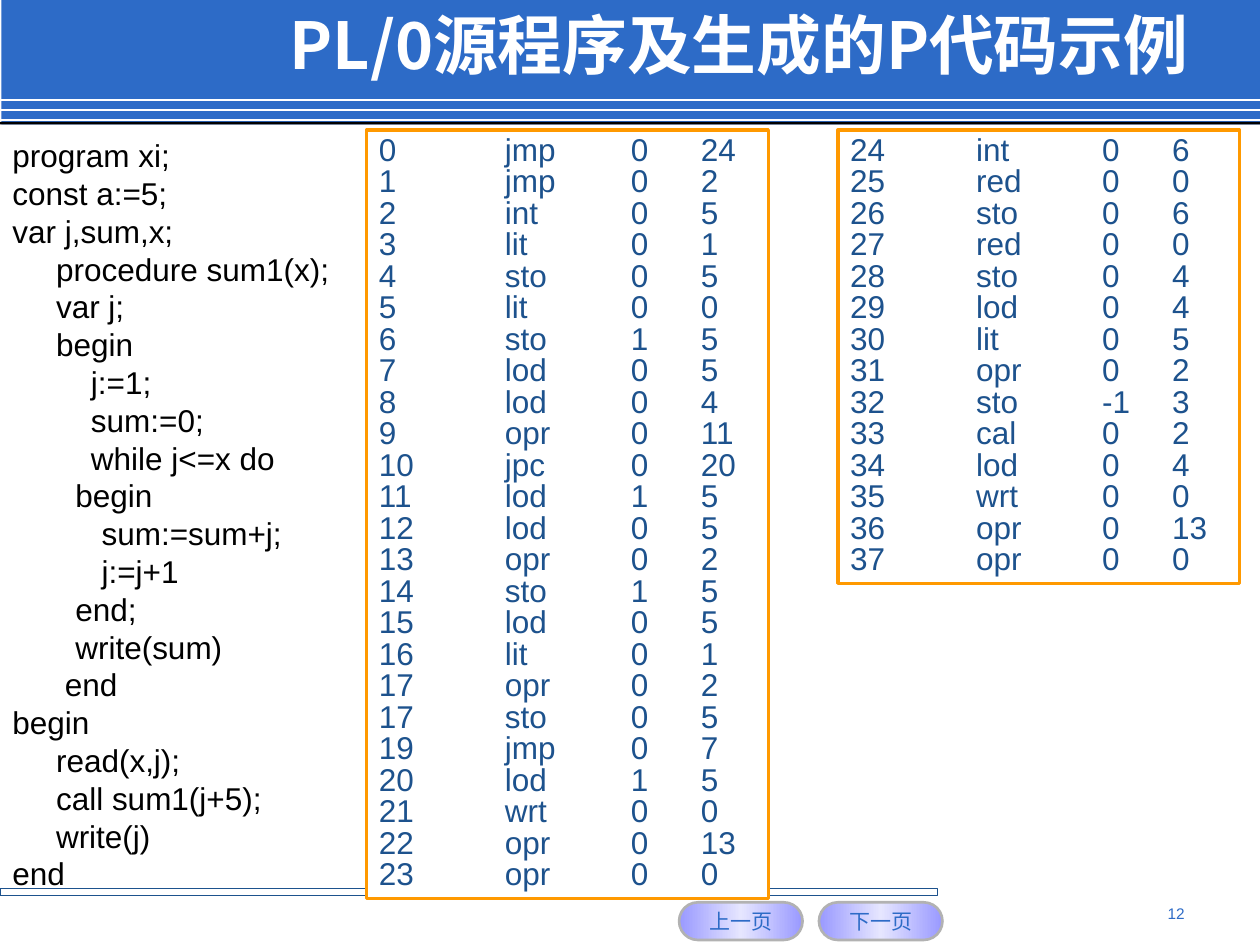
from copy import deepcopy
from dataclasses import dataclass

from lxml.etree import SubElement
from pptx import Presentation
from pptx.dml.color import RGBColor
from pptx.enum.shapes import MSO_CONNECTOR, MSO_SHAPE
from pptx.enum.text import MSO_ANCHOR, MSO_AUTO_SIZE, PP_ALIGN
from pptx.oxml.ns import qn
from pptx.util import Cm, Pt


@dataclass(frozen=True)
class Theme:
    blue: str = "2D6BC7"
    navy: str = "1D528D"
    orange: str = "FF9900"
    white: str = "FFFFFF"
    black: str = "000000"
    grey: str = "B2B2B2"
    button_edge: str = "9999FF"
    button_middle: str = "E6E6FF"
    latin: str = "Arial"
    chinese: str = "Noto Sans CJK SC"
    title_size: float = 37
    code_size: float = 18
    button_size: float = 12
    number_size: float = 8.8


SOURCE_PROGRAM = """program xi;
const a:=5;
var j,sum,x;
     procedure sum1(x);
     var j;
     begin
         j:=1;
         sum:=0;
         while j<=x do
\tbegin
\t   sum:=sum+j;
\t   j:=j+1
\tend;
\twrite(sum)
      end
begin
     read(x,j);
     call sum1(j+5);
     write(j)
end"""

PROCEDURE_CODE = """0 jmp 0 24
1 jmp 0 2
2 int 0 5
3 lit 0 1
4 sto 0 5
5 lit 0 0
6 sto 1 5
7 lod 0 5
8 lod 0 4
9 opr 0 11
10 jpc 0 20
11 lod 1 5
12 lod 0 5
13 opr 0 2
14 sto 1 5
15 lod 0 5
16 lit 0 1
17 opr 0 2
17 sto 0 5
19 jmp 0 7
20 lod 1 5
21 wrt 0 0
22 opr 0 13
23 opr 0 0"""

MAIN_CODE = """24 int 0 6
25 red 0 0
26 sto 0 6
27 red 0 0
28 sto 0 4
29 lod 0 4
30 lit 0 5
31 opr 0 2
32 sto -1 3
33 cal 0 2
34 lod 0 4
35 wrt 0 0
36 opr 0 13
37 opr 0 0"""


class SlideBuilder:
    def __init__(self, slide, theme):
        self.shapes = slide.shapes
        self.theme = theme

    def fill_text(self, frame, lines, size, color, font=None, bold=False,
                  align=PP_ALIGN.LEFT, spacing=None, tabs=()):
        """Fill a text frame with one paragraph per line; tabs are in cm."""
        for index, line in enumerate(lines):
            paragraph = frame.paragraphs[0] if index == 0 else frame.add_paragraph()
            paragraph.text = line
            paragraph.alignment = align
            if spacing:
                paragraph.line_spacing = spacing
            properties = paragraph._p.get_or_add_pPr()
            if tabs:
                tab_list = SubElement(properties, qn("a:tabLst"))
                for position in tabs:
                    SubElement(tab_list, qn("a:tab"), pos=str(Cm(position)), algn="l")
            paragraph.font.size = Pt(size)
            paragraph.font.bold = bold
            paragraph.font.color.rgb = RGBColor.from_string(color)
            paragraph.font.name = font or self.theme.latin
            SubElement(properties.find(qn("a:defRPr")), qn("a:ea"),
                       typeface=self.theme.chinese)

    def box(self, left, top, width, height, fill=None, line=None, line_width=1,
            kind=MSO_SHAPE.RECTANGLE):
        shape = self.shapes.add_shape(kind, Cm(left), Cm(top), Cm(width), Cm(height))
        shape.shadow.inherit = False
        if fill:
            shape.fill.solid()
            shape.fill.fore_color.rgb = RGBColor.from_string(fill)
        else:
            shape.fill.background()
        if line:
            shape.line.color.rgb = RGBColor.from_string(line)
            shape.line.width = Pt(line_width)
        else:
            shape.line.fill.background()
        return shape

    def rule(self, top, color):
        """Draw a horizontal line across the slide."""
        line = self.shapes.add_connector(MSO_CONNECTOR.STRAIGHT,
                                         0, Cm(top), Cm(25.4), Cm(top))
        line.line.color.rgb = RGBColor.from_string(color)
        line.line.width = Pt(1)
        SubElement(line._element.spPr, qn("a:effectLst"))

    def text(self, left, top, width, height, lines, size, color, **style):
        frame = self.shapes.add_textbox(Cm(left), Cm(top), Cm(width), Cm(height)).text_frame
        frame.word_wrap = True
        self.fill_text(frame, lines, size, color, **style)
        return frame

    def button(self, left, label):
        theme = self.theme
        shape = self.box(left, 18.19, 2.49, 0.76, line=theme.grey, line_width=1.5,
                         kind=MSO_SHAPE.ROUNDED_RECTANGLE)
        shape.adjustments[0] = 0.5
        shape.fill.gradient()
        shape.fill.gradient_angle = 0
        for stop in shape.fill.gradient_stops:
            stop.color.rgb = RGBColor.from_string(theme.button_edge)
        first = shape._element.spPr.find(qn("a:gradFill")).find(qn("a:gsLst"))[0]
        middle = deepcopy(first)
        middle.set("pos", "50000")
        middle[0].set("val", theme.button_middle)
        first.addnext(middle)
        shape.text_frame.word_wrap = False
        shape.text_frame.vertical_anchor = MSO_ANCHOR.MIDDLE
        self.fill_text(shape.text_frame, [label], theme.button_size, theme.blue,
                       align=PP_ALIGN.CENTER)

    def p_code(self, left, height, listing):
        """Frame a listing with columns for address, operation, level and operand."""
        theme = self.theme
        frame = self.box(left, 2.62, 8.1, height, theme.white, theme.orange, 2).text_frame
        frame.word_wrap = True
        frame.vertical_anchor = MSO_ANCHOR.TOP
        frame.auto_size = MSO_AUTO_SIZE.SHAPE_TO_FIT_TEXT
        rows = ["\t".join(row.split()) for row in listing.splitlines()]
        self.fill_text(frame, rows, theme.code_size, theme.navy,
                       spacing=Pt(18), tabs=(2.54, 5.08, 6.49))


def main():
    presentation = Presentation()
    presentation.slide_width, presentation.slide_height = Cm(25.4), Cm(19.05)
    theme = Theme()
    slide = SlideBuilder(
        presentation.slides.add_slide(presentation.slide_layouts[6]), theme)

    slide.box(0.03, 0, 25.37, 2.51, theme.blue)
    for index in range(3):
        slide.rule(2.02 + 0.2 * index, theme.white)
    slide.box(0, 2.46, 25.4, 0.05, theme.black)
    slide.box(0, 17.91, 18.9, 0.15, line=theme.navy, line_width=0.75)
    for left, label in ((13.69, "上一页"), (16.51, "下一页")):
        slide.button(left, label)
    slide.text(18.21, 18.11, 5.92, 0.69, ["12"], theme.number_size, theme.blue,
               align=PP_ALIGN.RIGHT)

    program = slide.text(0, 2.62, 7.7, 15.49, SOURCE_PROGRAM.splitlines(),
                         theme.code_size, theme.black)
    program.auto_size = MSO_AUTO_SIZE.SHAPE_TO_FIT_TEXT
    slide.text(5.59, 0.15, 19.91, 1.85, ["PL/0源程序及生成的P代码示例"],
               theme.title_size, theme.white, font=theme.chinese, bold=True, spacing=0.9)
    slide.p_code(7.39, 15.49, PROCEDURE_CODE)
    slide.p_code(16.89, 9.14, MAIN_CODE)

    presentation.save("out.pptx")


if __name__ == "__main__":
    main()
